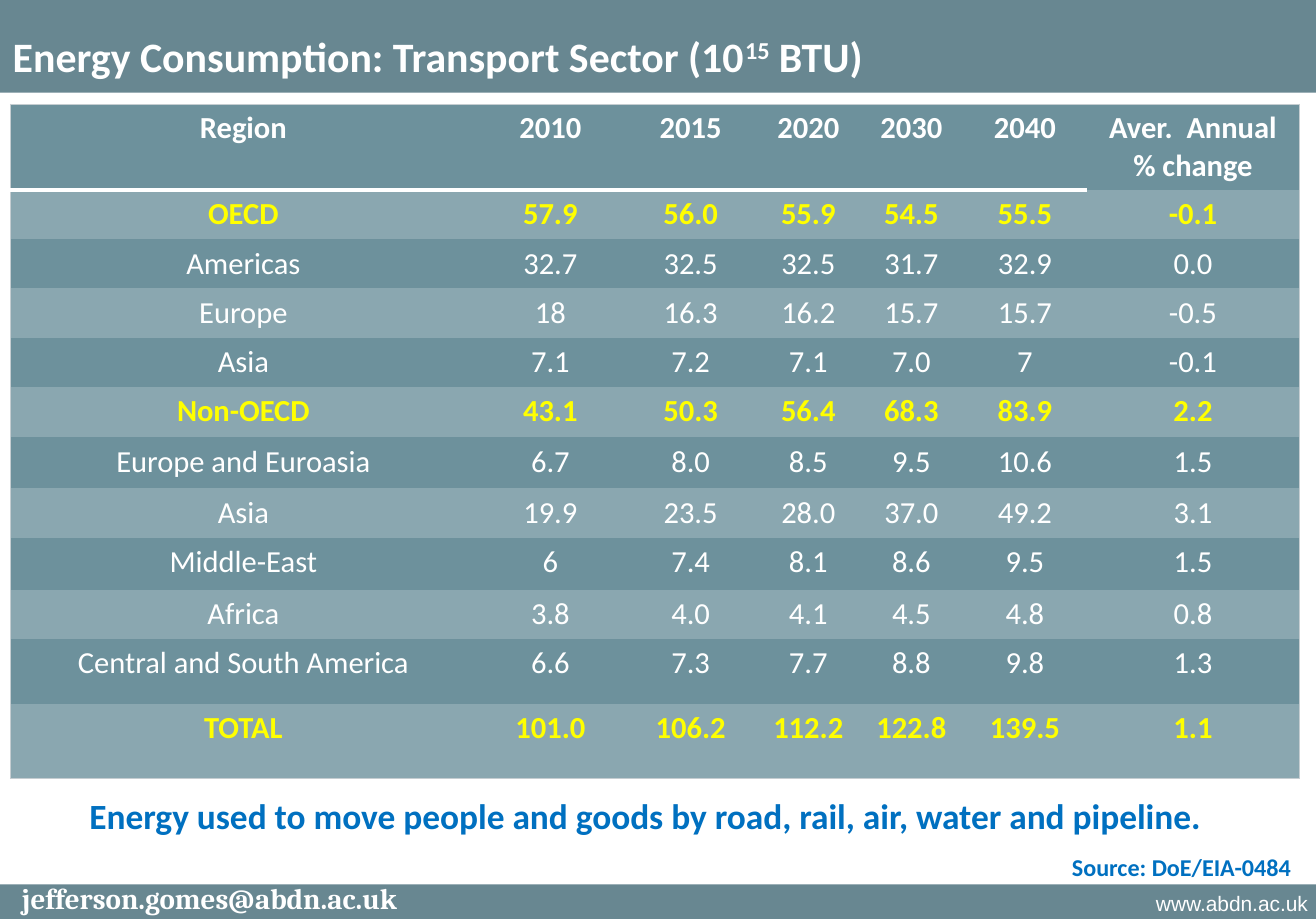
import pptx
import pptx.dml.color
import pptx.enum.shapes
import pptx.enum.text
import pptx.oxml
import pptx.oxml.ns
import pptx.util

Cm, Pt = pptx.util.Cm, pptx.util.Pt
ALIGN = pptx.enum.text.PP_ALIGN
WIDTH, HEIGHT = 28.85, 20.14

BAR, DARK, LIGHT = "688791", "6D919C", "8AA7B0"
WHITE, YELLOW, BLUE, EDGE = "FFFFFF", "FFFF00", "0070C0", "C5CDD1"
NO_GRID_STYLE = "{2D5ABB26-0587-4C30-8999-92F81FD0307C}"

COLUMNS = [10.21, 3.25, 2.9, 2.26, 2.26, 2.72, 4.65]
ROW_HEIGHTS = [1.88, 1.08, 1.08, 1.08, 1.08, 1.1, 1.12, 1.08, 1.14, 1.08, 1.42, 1.65]
TOTALS = ("OECD", "Non-OECD", "TOTAL")
ROWS = [
    ["Region", "2010", "2015", "2020", "2030", "2040", "Aver.  Annual % change"],
    ["OECD", "57.9", "56.0", "55.9", "54.5", "55.5", "-0.1"],
    ["Americas", "32.7", "32.5", "32.5", "31.7", "32.9", "0.0"],
    ["Europe", "18", "16.3", "16.2", "15.7", "15.7", "-0.5"],
    ["Asia", "7.1", "7.2", "7.1", "7.0", "7", "-0.1"],
    ["Non-OECD", "43.1", "50.3", "56.4", "68.3", "83.9", "2.2"],
    ["Europe and Euroasia", "6.7", "8.0", "8.5", "9.5", "10.6", "1.5"],
    ["Asia", "19.9", "23.5", "28.0", "37.0", "49.2", "3.1"],
    ["Middle-East", "6", "7.4", "8.1", "8.6", "9.5", "1.5"],
    ["Africa", "3.8", "4.0", "4.1", "4.5", "4.8", "0.8"],
    ["Central and South America", "6.6", "7.3", "7.7", "8.8", "9.8", "1.3"],
    ["TOTAL", "101.0", "106.2", "112.2", "122.8", "139.5", "1.1"],
]


def rgb(color):
    return pptx.dml.color.RGBColor.from_string(color)


def add_run(p, text, size=19, color=WHITE, bold=True, font="Calibri", baseline=None):
    r = p.add_run()
    r.text = text
    r.font.name, r.font.size, r.font.bold = font, Pt(size), bold
    r.font.color.rgb = rgb(color)
    if baseline:
        r.font._element.set("baseline", str(baseline * 1000))
    return r


def set_borders(cell, **borders):
    """Draw the sides named L, R, T and B, each given as (colour, points)."""
    tcPr = cell._tc.get_or_add_tcPr()
    for side in "LRTB":
        if side in borders:
            color, points = borders[side]
            tcPr.append(pptx.oxml.parse_xml(
                f'<a:ln{side} {pptx.oxml.ns.nsdecls("a")} w="{Pt(points)}">'
                f'<a:solidFill><a:srgbClr val="{color}"/></a:solidFill></a:ln{side}>'))


class SlideBuilder:
    def __init__(self, slide):
        self.slide = slide

    def bar(self, top, height):
        sp = self.slide.shapes.add_shape(
            pptx.enum.shapes.MSO_SHAPE.RECTANGLE, 0, Cm(top), Cm(WIDTH), Cm(height))
        sp.shadow.inherit = False
        sp.fill.solid()
        sp.fill.fore_color.rgb = rgb(BAR)
        sp.line.fill.background()

    def text(self, left, top, width, height, text, align=ALIGN.LEFT, spacing=None, **style):
        sp = self.slide.shapes.add_textbox(Cm(left), Cm(top), Cm(width), Cm(height))
        tf = sp.text_frame
        tf.word_wrap = True
        tf.margin_left = tf.margin_right = Cm(0.28)
        tf.margin_top = tf.margin_bottom = Cm(0.14)
        p = tf.paragraphs[0]
        p.alignment = align
        if spacing:
            p.line_spacing = spacing
        add_run(p, text, **style)
        return p

    def table(self, left, top):
        frame = self.slide.shapes.add_table(
            len(ROWS), len(COLUMNS), Cm(left), Cm(top),
            Cm(sum(COLUMNS)), Cm(sum(ROW_HEIGHTS)))
        table = frame.table
        table.first_row = table.horz_banding = False
        table._tbl.tblPr.find(pptx.oxml.ns.qn("a:tableStyleId")).text = NO_GRID_STYLE
        for column, width in zip(table.columns, COLUMNS):
            column.width = Cm(width)
        for i, (row, height) in enumerate(zip(table.rows, ROW_HEIGHTS)):
            row.height = Cm(height)
            for j, text in enumerate(ROWS[i]):
                self.cell(table.cell(i, j), i, j, text)

    def cell(self, cell, i, j, text):
        last_row, last_column = len(ROWS) - 1, len(COLUMNS) - 1
        total = ROWS[i][0] in TOTALS
        borders = {}
        if j == 0:
            borders["L"] = (EDGE, 0.75)
        if j == last_column:
            borders["R"] = (EDGE, 0.75)
        if i == 0:
            borders["T"] = (EDGE, 0.75)
            if j < last_column:
                borders["B"] = (WHITE, 3)
        if i == last_row:
            borders["B"] = (EDGE, 0.75)
        set_borders(cell, **borders)
        cell.fill.solid()
        cell.fill.fore_color.rgb = rgb(LIGHT if i % 2 else DARK)
        cell.margin_left = cell.margin_right = Cm(0.28)
        cell.margin_top = cell.margin_bottom = Cm(0.13)
        p = cell.text_frame.paragraphs[0]
        p.alignment = ALIGN.CENTER
        add_run(p, text, color=YELLOW if total else WHITE, bold=total or i == 0)


def main():
    prs = pptx.Presentation()
    prs.slide_width, prs.slide_height = Cm(WIDTH), Cm(HEIGHT)
    s = SlideBuilder(prs.slides.add_slide(prs.slide_layouts[6]))

    s.bar(19.38, 0.76)
    s.bar(0, 2.03)
    s.text(21.46, 19.38, 7.49, 0.76, "www.abdn.ac.uk", align=ALIGN.RIGHT,
           size=13, bold=False, font="Arial")
    s.text(0, 19.25, 9.19, 0.89, "jefferson.gomes@abdn.ac.uk", align=ALIGN.CENTER,
           spacing=0.9, size=18, font="Cambria")
    title = s.text(0, 0.53, 20.55, 1.4, "Energy Consumption: Transport Sector (10", size=26)
    add_run(title, "15", size=26, baseline=30)
    add_run(title, " BTU)", size=26)
    s.table(0.23, 2.28)
    s.text(1.68, 17.27, 25.55, 1.22,
           "Energy used to move people and goods by road, rail, air, water and pipeline.",
           size=22, color=BLUE)
    s.text(23.22, 18.54, 5.6, 0.91, "Source: DoE/EIA-0484", size=15, color=BLUE)
    prs.save("out.pptx")


if __name__ == "__main__":
    main()
